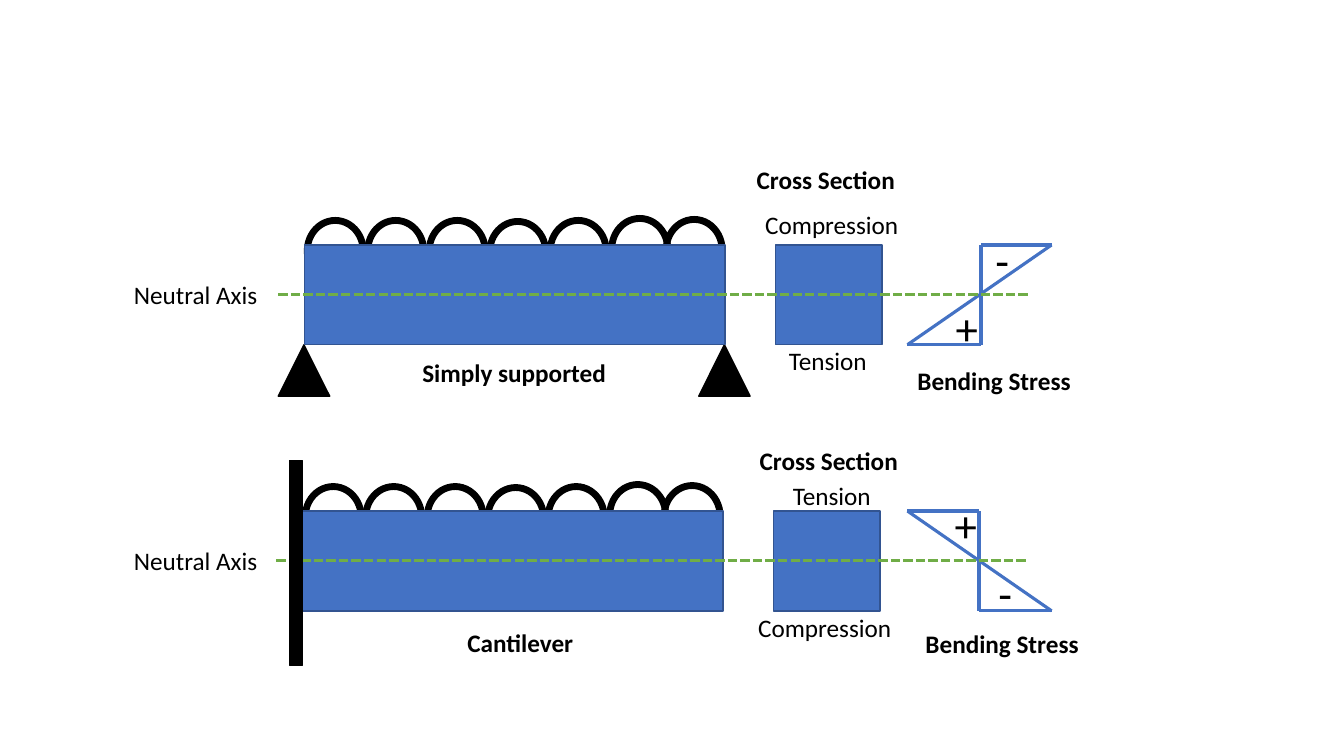
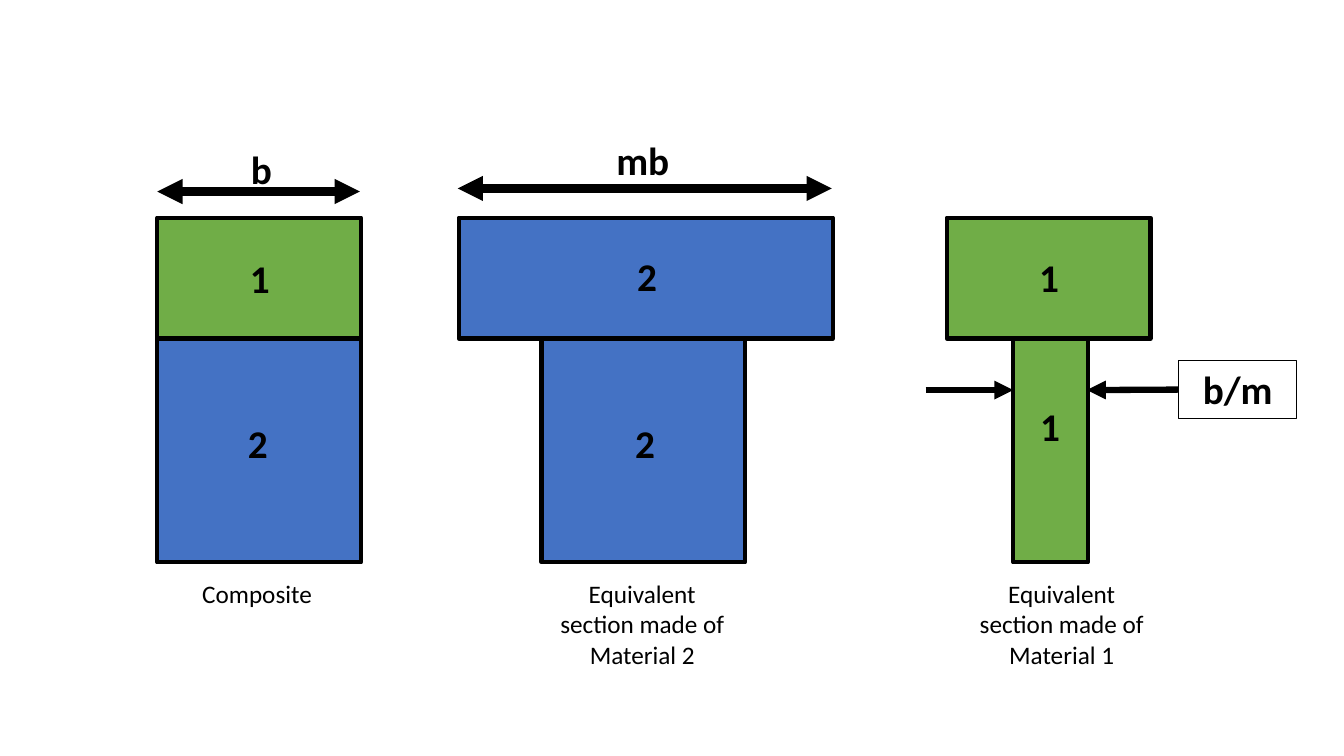
import pptx
import pptx.util
import pptx.dml.color
import pptx.enum.dml
import pptx.enum.shapes
import pptx.enum.text
import pptx.oxml.ns
from lxml import etree
from pptx.util import Inches

FONT = "Calibri"
BLACK = "000000"
BLUE = "4472C4"
BLUE_EDGE = "325491"
GREEN = "70AD47"
SHAPES = pptx.enum.shapes.MSO_SHAPE

BEAM_WIDTH, BEAM_DEPTH = 4.17, 0.99
ARCH_OFFSETS = [(0, 0.27), (0.6, 0.27), (1.21, 0.27), (1.81, 0.26),
                (2.41, 0.27), (3.02, 0.29), (3.56, 0.28)]
STRESS_LEFT, STRESS_RIGHT = 9, 10.43

FLANGE_TOP, FLANGE_HEIGHT = 2.16, 1.2
WEB_TOP, WEB_HEIGHT = 3.35, 2.23
SECTION_WIDTH = 2.02


def rgb(value):
    return pptx.dml.color.RGBColor.from_string(value)


def set_line(line, color, width):
    line.color.rgb = rgb(color)
    line.width = pptx.util.Pt(width)


def add_block(slide, kind, left, top, width, height, fill, edge=BLACK, edge_width=1):
    block = slide.shapes.add_shape(
        kind, Inches(left), Inches(top), Inches(width), Inches(height))
    block.shadow.inherit = False
    block.fill.solid()
    block.fill.fore_color.rgb = rgb(fill)
    set_line(block.line, edge, edge_width)
    return block


def add_line(slide, start, end, color, width, dash=None, arrows=()):
    connector = slide.shapes.add_connector(
        pptx.enum.shapes.MSO_CONNECTOR.STRAIGHT,
        Inches(start[0]), Inches(start[1]), Inches(end[0]), Inches(end[1]))
    set_line(connector.line, color, width)
    if dash:
        connector.line.dash_style = dash
    properties = connector._element.spPr
    outline = properties.find(pptx.oxml.ns.qn("a:ln"))
    for arrow in arrows:
        etree.SubElement(outline, pptx.oxml.ns.qn(f"a:{arrow}"), type="triangle")
    etree.SubElement(properties, pptx.oxml.ns.qn("a:effectLst"))
    return connector


def add_label(slide, text, left, top, width=2.04, height=0.4, size=18, bold=False):
    label = slide.shapes.add_textbox(
        Inches(left), Inches(top), Inches(width), Inches(height))
    frame = label.text_frame
    frame.word_wrap = True
    frame.auto_size = pptx.enum.text.MSO_AUTO_SIZE.SHAPE_TO_FIT_TEXT
    paragraph = frame.paragraphs[0]
    paragraph.alignment = pptx.enum.text.PP_ALIGN.CENTER
    run = paragraph.add_run()
    run.text = text
    run.font.name = FONT
    run.font.size = pptx.util.Pt(size)
    run.font.bold = bold
    run.font.color.rgb = rgb(BLACK)
    return label


def add_mark(slide, text, left, top, width=0.37):
    return add_label(slide, text, left, top, width, 0.57, 28, True)


def add_beam(slide, left, top):
    for across, rise in ARCH_OFFSETS:
        arch = add_block(slide, SHAPES.DONUT, left + across, top - rise, 0.61, 0.66, BLACK)
        arch.adjustments[0] = 0.089
    for across, width in ((0, BEAM_WIDTH), (4.67, 1.06)):
        add_block(slide, SHAPES.RECTANGLE, left + across, top, width, BEAM_DEPTH,
                  BLUE, BLUE_EDGE)


def add_stress(slide, axis, top, top_end, bottom_end):
    bottom = top + BEAM_DEPTH
    for start, end in (((axis, bottom), (axis, top)),
                       ((bottom_end, bottom), (top_end, top)),
                       ((axis, top), (top_end, top)),
                       ((axis, bottom), (bottom_end, bottom))):
        add_line(slide, start, end, BLUE, 2.25)


def add_neutral_axis(slide, beam_left, beam_top):
    height = beam_top + 0.49
    add_line(slide, (beam_left - 0.26, height), (beam_left + 7.18, height), GREEN, 2.25,
             pptx.enum.dml.MSO_LINE.SQUARE_DOT)
    add_label(slide, "Neutral Axis", 0.92, beam_top + 0.29)


def add_bending_case(slide, left, top, stress_ends, names, titles, signs):
    add_beam(slide, left, top)
    add_stress(slide, left + 6.71, top, *stress_ends)
    add_neutral_axis(slide, left, top)
    for text, x, y in names:
        add_label(slide, text, x, y)
    for text, x, y in titles:
        add_label(slide, text, x, y, bold=True)
    for text, x, y, width in signs:
        add_label(slide, text, x, y, width, 0.64, 32)


def build_bending(slide):
    left, top = 3.02, 2.43
    for support in (left, left + BEAM_WIDTH):
        add_block(slide, SHAPES.ISOSCELES_TRIANGLE, support - 0.26, top + BEAM_DEPTH,
                  0.51, 0.51, BLACK)
    add_bending_case(
        slide, left, top, (STRESS_RIGHT, STRESS_LEFT),
        [("Compression", 7.23, 2.03), ("Tension", 7.19, 3.38)],
        [("Cross Section", 7.17, 1.58), ("Bending Stress", 8.84, 3.58),
         ("Simply supported", 4.08, 3.5)],
        [("-", 9.73, 2.26, 0.42), ("+", 9.38, 2.93, 0.27)])
    add_bending_case(
        slide, 3, 5.07, (STRESS_LEFT, STRESS_RIGHT),
        [("Tension", 7.23, 4.72), ("Compression", 7.16, 6.03)],
        [("Cross Section", 7.2, 4.37), ("Bending Stress", 8.92, 6.18),
         ("Cantilever", 4.14, 6.17)],
        [("+", 9.37, 4.89, 0.27), ("-", 9.76, 5.56, 0.42)])
    add_block(slide, SHAPES.RECTANGLE, 2.87, 4.57, 0.13, 2.03, BLACK)


def add_section(slide, web, flange, caption):
    for (left, width, color), top, height in ((web, WEB_TOP, WEB_HEIGHT),
                                              (flange, FLANGE_TOP, FLANGE_HEIGHT)):
        add_block(slide, SHAPES.RECTANGLE, left, top, width, height, color, edge_width=3)
    text, left, height = caption
    add_label(slide, text, left, 5.69, height=height)


def build_composite(slide):
    add_section(slide, (1.56, SECTION_WIDTH, BLUE), (1.56, SECTION_WIDTH, GREEN),
                ("Composite", 1.53, 0.4))
    add_section(slide, (5.37, SECTION_WIDTH, BLUE), (4.55, 3.71, BLUE),
                ("Equivalent section made of Material 2", 5.35, 1.01))
    add_section(slide, (10.05, 0.74, GREEN), (9.39, SECTION_WIDTH, GREEN),
                ("Equivalent section made of Material 1", 9.51, 1.01))
    for material, left, top, width in (
            ("1", 2.38, 2.47, 0.37), ("2", 2.36, 4.11, 0.37),
            ("2", 6.22, 2.45, 0.37), ("2", 6.2, 4.11, 0.37),
            ("1", 10.13, 2.46, 0.55), ("1", 10.14, 3.94, 0.55)):
        add_mark(slide, material, left, top, width)

    for start, end, height in ((1.56, 3.57, 1.9), (4.54, 8.25, 1.87)):
        add_line(slide, (start, height), (end, height), BLACK, 6,
                 arrows=("headEnd", "tailEnd"))
    add_mark(slide, "b", 2.39, 1.39)
    add_mark(slide, "mb", 5.96, 1.3, 0.83)

    web_width = add_mark(slide, "b/m", 11.69, 3.58, 1.17)
    set_line(web_width.line, BLACK, 0.75)
    add_line(slide, (9.18, 3.87), (10.05, 3.87), BLACK, 4.5, arrows=("tailEnd",))
    pointer = add_line(slide, (11.69, 3.87), (10.78, 3.87), BLACK, 4.5, arrows=("tailEnd",))
    pointer.begin_connect(web_width, 1)


def main():
    deck = pptx.Presentation()
    deck.slide_width = Inches(13.33)
    deck.slide_height = Inches(7.5)
    for build in (build_bending, build_composite):
        build(deck.slides.add_slide(deck.slide_layouts[6]))
    deck.save("out.pptx")


if __name__ == "__main__":
    main()
